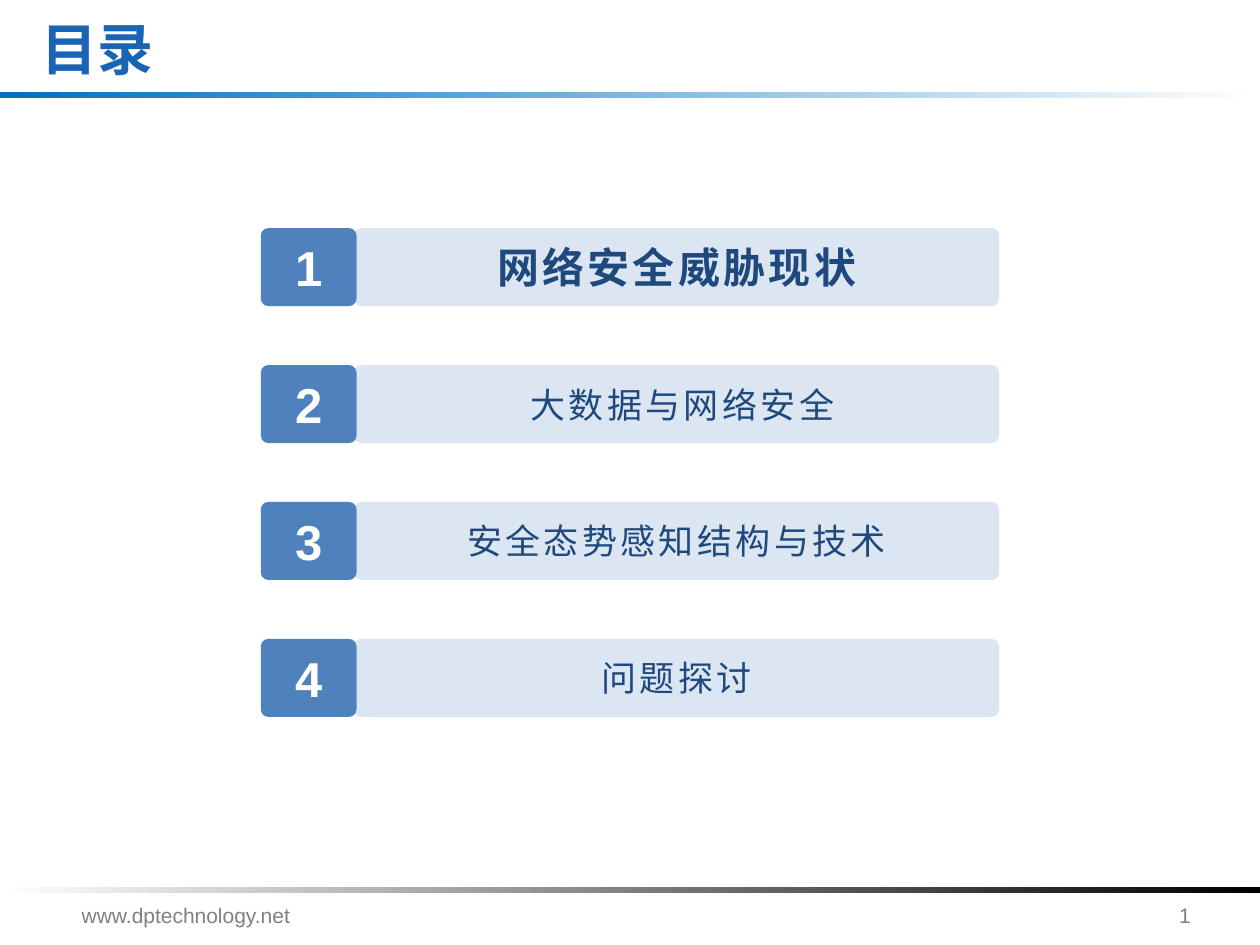
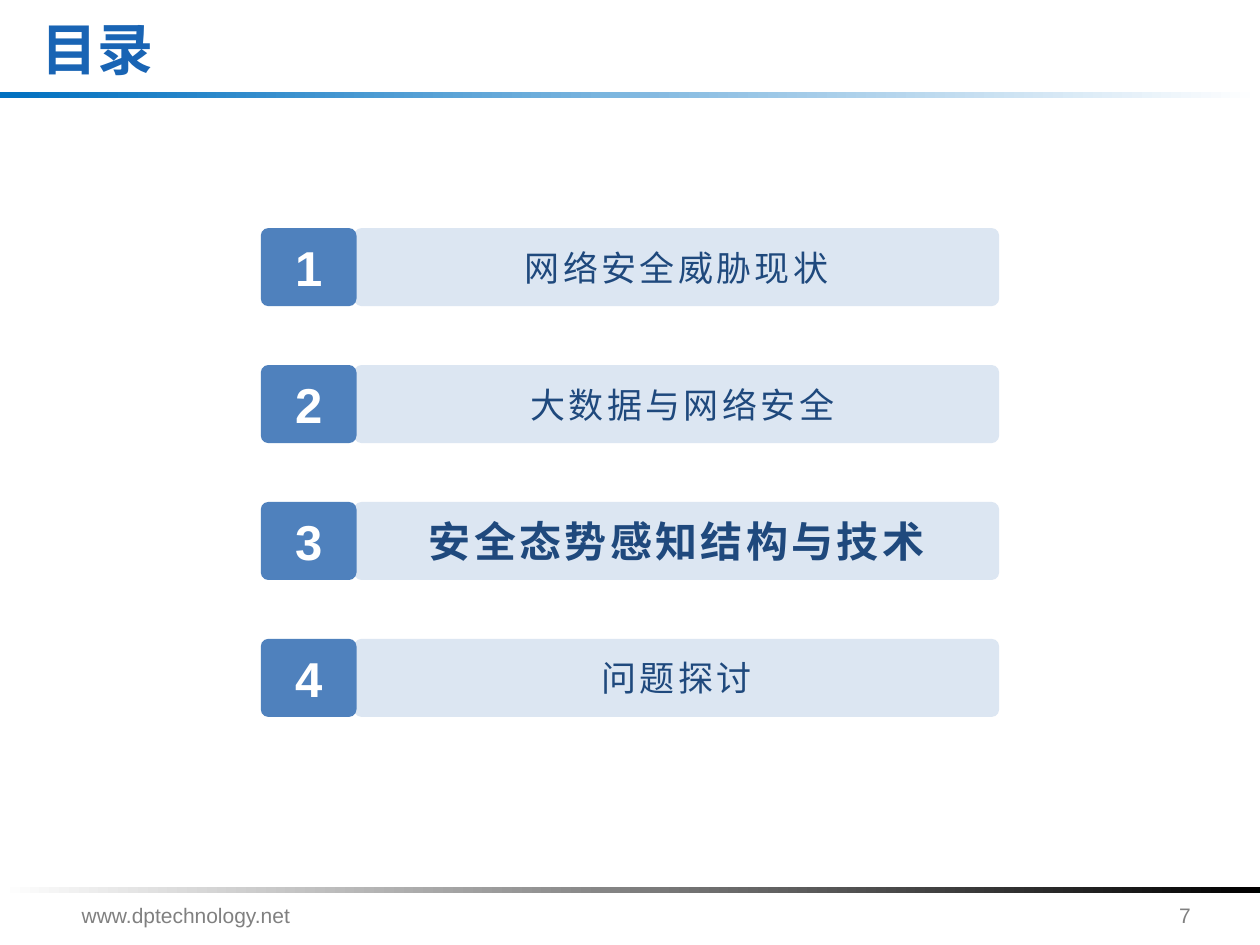
from math import cos, radians, sin

from pptx import Presentation
from pptx.dml.color import RGBColor
from pptx.enum.shapes import MSO_SHAPE as Shape
from pptx.enum.text import MSO_ANCHOR as Anchor, MSO_AUTO_SIZE as AutoSize, PP_ALIGN as Align
from pptx.oxml.ns import qn
from pptx.util import Inches, Pt

TITLE = "目录"
SITE = "www.dptechnology.net"
TOPICS = ["网络安全威胁现状", "大数据与网络安全", "安全态势感知结构与技术", "问题探讨"]
TOPIC_INSETS = [0, 0.09, 0, 0]
AGENDAS = [{"page": "1", "current": 0}, {"page": "7", "current": 2}]

WHITE = RGBColor(0xFF, 0xFF, 0xFF)
BLACK = RGBColor(0x00, 0x00, 0x00)
GREY = RGBColor(0x80, 0x80, 0x80)
BAND_BLUE = RGBColor(0x00, 0x70, 0xC0)
TITLE_BLUE = RGBColor(0x19, 0x64, 0xB4)
BADGE_BLUE = RGBColor(0x4F, 0x81, 0xBD)
BAR_BLUE = RGBColor(0xDC, 0xE6, 0xF2)
NAVY = RGBColor(0x1F, 0x49, 0x7D)

LATIN, CHINESE = "Arial", "Noto Sans CJK SC"
TITLE_FONT = {"name": CHINESE, "size": Pt(32), "bold": True}
FOOTER_FONT = {"name": LATIN, "size": Pt(12), "bold": False}
BADGE_FONT = {"name": LATIN, "size": Pt(28), "bold": True}
TOPIC_FONT = {"name": CHINESE, "size": Pt(20), "bold": False}
CURRENT_FONT = {"name": CHINESE, "size": Pt(24), "bold": True}

BANDS = [(0.73, BAND_BLUE, 0), (7.04, BLACK, 180)]
SLIDE_WIDTH, BAND_HEIGHT = 10, 0.05
FIRST_TOP, LAST_TOP, ROW_HEIGHT = 1.81, 5.07, 0.62
BADGE_LEFT, BADGE_WIDTH = 2.07, 0.76
BAR_LEFT, BAR_WIDTH = 2.81, 5.12
CORNER = 0.06


def set_all(target, values):
    """Set every attribute named in a dict of format values."""
    for name, value in values.items():
        setattr(target, name, value)


def write(frame, text, font, color, align=Align.LEFT, spacing=None):
    """Write one formatted line of text into a text frame."""
    paragraph = frame.paragraphs[0]
    paragraph.alignment = align
    run = paragraph.add_run()
    run.text = text
    set_all(run.font, font)
    run.font.color.rgb = color
    properties = run.font._element
    east_asian = properties.makeelement(qn("a:ea"), {"typeface": font["name"]})
    properties.find(qn("a:latin")).addnext(east_asian)
    if spacing:
        properties.set("spc", str(spacing))


def rounded_outline(left, top, width, height):
    """Return the corner points of a softly rounded box, clockwise from the lower right."""
    right, bottom = left + width - CORNER, top + height - CORNER
    left, top = left + CORNER, top + CORNER
    centres = [(right, bottom), (left, bottom), (left, top), (right, top)]
    return [
        (Inches(x + CORNER * cos(radians(angle))), Inches(y + CORNER * sin(radians(angle))))
        for quarter, (x, y) in enumerate(centres)
        for angle in range(90 * quarter, 90 * quarter + 91, 30)
    ]


def add_plate(shapes, box, fill):
    """Add a rounded plate and return its centred text frame."""
    start, *others = rounded_outline(*box)
    builder = shapes.build_freeform(*start)
    builder.add_line_segments(others)
    plate = builder.convert_to_shape()
    plate.shadow.inherit = False
    plate.fill.solid()
    plate.fill.fore_color.rgb = fill
    plate.line.fill.background()
    margins = dict.fromkeys(["margin_left", "margin_top", "margin_right", "margin_bottom"], 0)
    set_all(plate.text_frame, margins | {"vertical_anchor": Anchor.MIDDLE, "word_wrap": True})
    return plate.text_frame


def add_frame(slide, page):
    """Add the bands, footer and title that all slides share."""
    for top, color, rotation in BANDS:
        band = slide.shapes.add_shape(
            Shape.RECTANGLE, 0, Inches(top), Inches(SLIDE_WIDTH), Inches(BAND_HEIGHT))
        band.shadow.inherit = False
        band.line.fill.background()
        band.fill.gradient()
        band.fill.gradient_angle = 0
        for stop, shade, position in zip(band.fill.gradient_stops, (color, WHITE), (0, 1)):
            stop.color.rgb = shade
            stop.position = position
        band.rotation = rotation
    for left, width, text in [(9.26, 0.59, page), (0.55, 1.95, SITE)]:
        footer = slide.shapes.add_textbox(*map(Inches, (left, 7.11, width, 0.39)))
        footer.text_frame.word_wrap = True
        write(footer.text_frame, text, FOOTER_FONT, GREY)
    title = slide.shapes.title
    set_all(title, {"left": Inches(0.23), "top": Inches(0.16),
                    "width": Inches(5.78), "height": Inches(0.44)})
    set_all(title.text_frame, {"vertical_anchor": Anchor.MIDDLE, "word_wrap": True,
                               "auto_size": AutoSize.NONE})
    write(title.text_frame, TITLE, TITLE_FONT, TITLE_BLUE)


def add_agenda(slide, current):
    """Add the numbered topics, with the current one emphasised."""
    agenda = slide.shapes.add_group_shape().shapes
    pitch = (LAST_TOP - FIRST_TOP) / (len(TOPICS) - 1)
    tops = [FIRST_TOP + row * pitch for row in range(len(TOPICS))]
    for row, (top, topic, inset) in enumerate(zip(tops, TOPICS, TOPIC_INSETS)):
        bar = add_plate(agenda, (BAR_LEFT, top, BAR_WIDTH, ROW_HEIGHT), BAR_BLUE)
        bar.margin_left = Inches(inset)
        font = CURRENT_FONT if row == current else TOPIC_FONT
        write(bar, topic, font, NAVY, Align.CENTER, spacing=190)
    for number, top in enumerate(tops, 1):
        badge = add_plate(agenda, (BADGE_LEFT, top, BADGE_WIDTH, ROW_HEIGHT), BADGE_BLUE)
        write(badge, str(number), BADGE_FONT, WHITE, Align.CENTER)


def main():
    """Build the agenda slides."""
    deck = Presentation()
    deck.slide_width, deck.slide_height = Inches(SLIDE_WIDTH), Inches(7.5)
    for agenda in AGENDAS:
        slide = deck.slides.add_slide(deck.slide_layouts.get_by_name("Title Only"))
        add_frame(slide, agenda["page"])
        add_agenda(slide, agenda["current"])
    deck.save("out.pptx")


if __name__ == "__main__":
    main()
